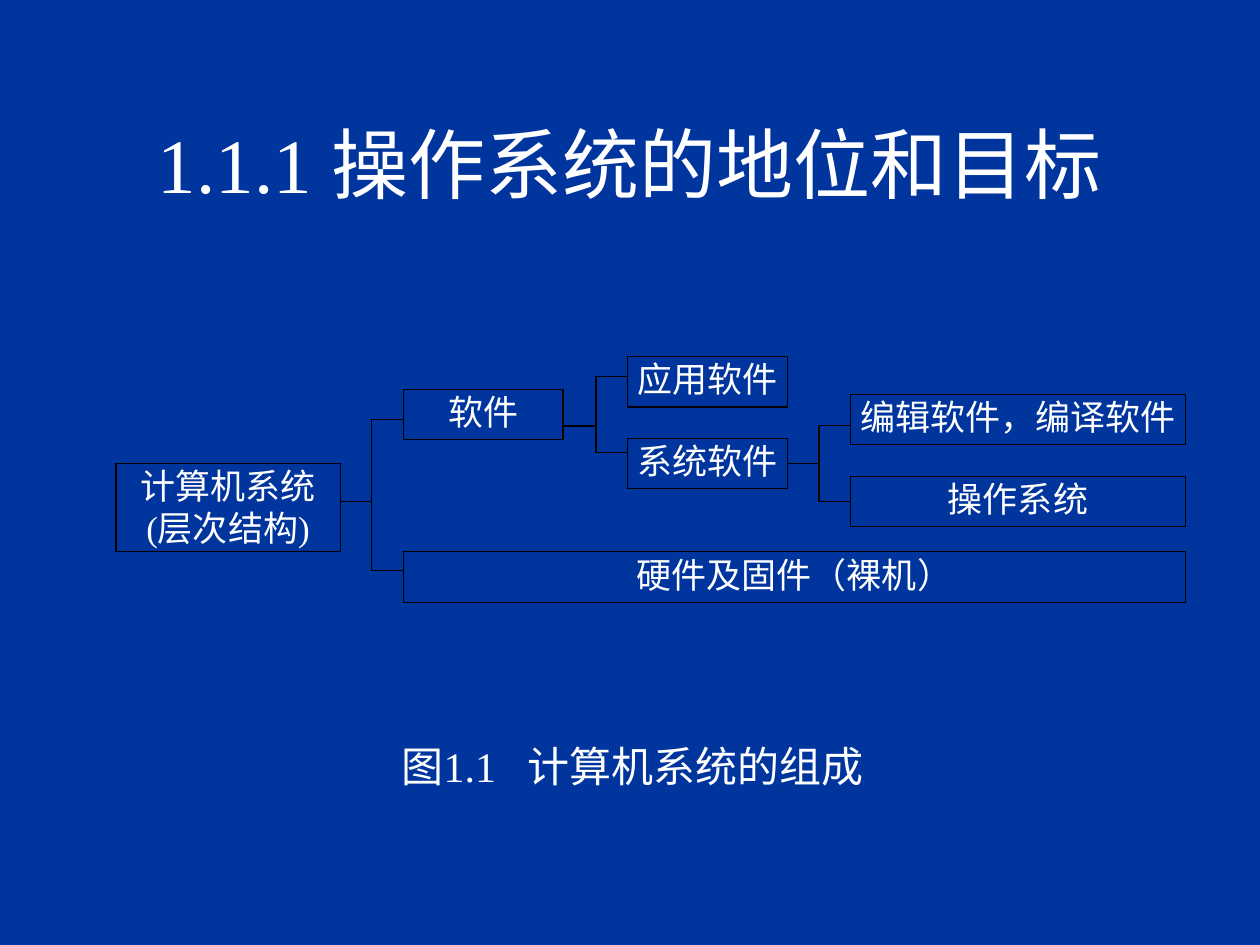
from lxml import etree
from pptx import Presentation, util as u
from pptx.dml.color import RGBColor
from pptx.enum import shapes, text
from pptx.oxml import ns

# Content
TITLE = "1.1.1 操作系统的地位和目标"
CAPTION = "图1.1\t计算机系统的组成"
COLOURS = {"background": "00359E", "text": "FFFFFF", "line": "000000"}
FONT = "Times New Roman"

# Tree columns: left edge and width; a half gap leads to each bracket
COLUMNS = [(0.92, 1.78), (3.2, 1.27), (4.98, 1.27), (6.75, 2.66)]
ROW, HALF_GAP = 0.4, 0.25
RIGHT = sum(COLUMNS[-1])

# Nodes: lines, first column, top, height, whether it spans to the right edge
NODES = [
    (["计算机系统", "(层次结构)"], 0, 3.68, 0.7, False),
    (["软件"], 1, 3.09, ROW, False),
    (["硬件及固件（裸机）"], 1, 4.38, ROW, True),
    (["应用软件"], 2, 2.83, ROW, False),
    (["系统软件"], 2, 3.48, ROW, False),
    (["编辑软件，编译软件"], 3, 3.13, ROW, False),
    (["操作系统"], 3, 3.78, ROW, False),
]
# Branches: parent column, height of the stem, heights of the two arms
BRANCHES = [(0, 3.98, 3.33, 4.53), (1, 3.38, 2.99, 3.59), (2, 3.68, 3.38, 3.98)]


def colour(name):
    return RGBColor.from_string(COLOURS[name])


def write(frame, lines, size, inset, align):
    frame.margin_left = frame.margin_right = u.Inches(inset[0])
    frame.margin_top = frame.margin_bottom = u.Inches(inset[1])
    for i, line in enumerate(lines):
        paragraph = frame.add_paragraph() if i else frame.paragraphs[0]
        paragraph.alignment = align
        run = paragraph.add_run()
        run.text = line
        run.font.size = u.Pt(size)
        run.font.name = FONT
        run.font.color.rgb = colour("text")


def outline(part):
    part.line.color.rgb = colour("line")
    part.line.width = u.Pt(0.75)


def add_node(slide, lines, column, top, height, spans):
    left, width = COLUMNS[column]
    if spans:
        width = RIGHT - left
    node = slide.shapes.add_shape(shapes.MSO_SHAPE.RECTANGLE,
                                  *map(u.Inches, (left, top, width, height)))
    node.shadow.inherit = False
    node.fill.background()
    outline(node)
    node.text_frame.word_wrap = True
    node.text_frame.vertical_anchor = text.MSO_ANCHOR.TOP
    write(node.text_frame, lines, 20, (0.01, 0.01), text.PP_ALIGN.CENTER)


def add_branch(slide, column, *heights):
    start, child = sum(COLUMNS[column]), COLUMNS[column + 1][0]
    start, spine, child = map(u.Inches, (start, child - HALF_GAP, child))
    stem_y, upper, lower = map(u.Inches, heights)
    # Bracket open to the children
    builder = slide.shapes.build_freeform(child, upper)
    builder.add_line_segments([(spine, upper), (spine, lower), (child, lower)], close=False)
    bracket = builder.convert_to_shape()
    bracket.shadow.inherit = False
    bracket.fill.background()
    outline(bracket)
    # Stem from the parent
    stem = slide.shapes.add_connector(shapes.MSO_CONNECTOR.STRAIGHT,
                                      start, stem_y, spine, stem_y)
    outline(stem)
    etree.SubElement(stem._element.spPr, ns.qn("a:effectLst"))


def main():
    deck = Presentation()
    deck.slide_width, deck.slide_height = u.Inches(10), u.Inches(7.5)
    slide = deck.slides.add_slide(deck.slide_layouts[5])
    slide.background.fill.solid()
    slide.background.fill.fore_color.rgb = colour("background")

    # Title
    title = slide.shapes.title
    title.left, title.top, title.width, title.height = map(u.Inches, (0.75, 0.67, 8.5, 1.25))
    title.text_frame.auto_size = text.MSO_AUTO_SIZE.NONE
    title.text_frame.vertical_anchor = text.MSO_ANCHOR.MIDDLE
    write(title.text_frame, [TITLE], 44, (0.1, 0.05), text.PP_ALIGN.CENTER)

    # Tree
    for node in NODES:
        add_node(slide, *node)
    for branch in BRANCHES:
        add_branch(slide, *branch)

    # Caption
    caption = slide.shapes.add_textbox(*map(u.Inches, (3.09, 5.83, 4, 0.5)))
    caption.text_frame.word_wrap = True
    caption.text_frame.auto_size = text.MSO_AUTO_SIZE.SHAPE_TO_FIT_TEXT
    write(caption.text_frame, [CAPTION], 24, (0.1, 0.05), text.PP_ALIGN.LEFT)

    deck.save("out.pptx")


if __name__ == "__main__":
    main()
